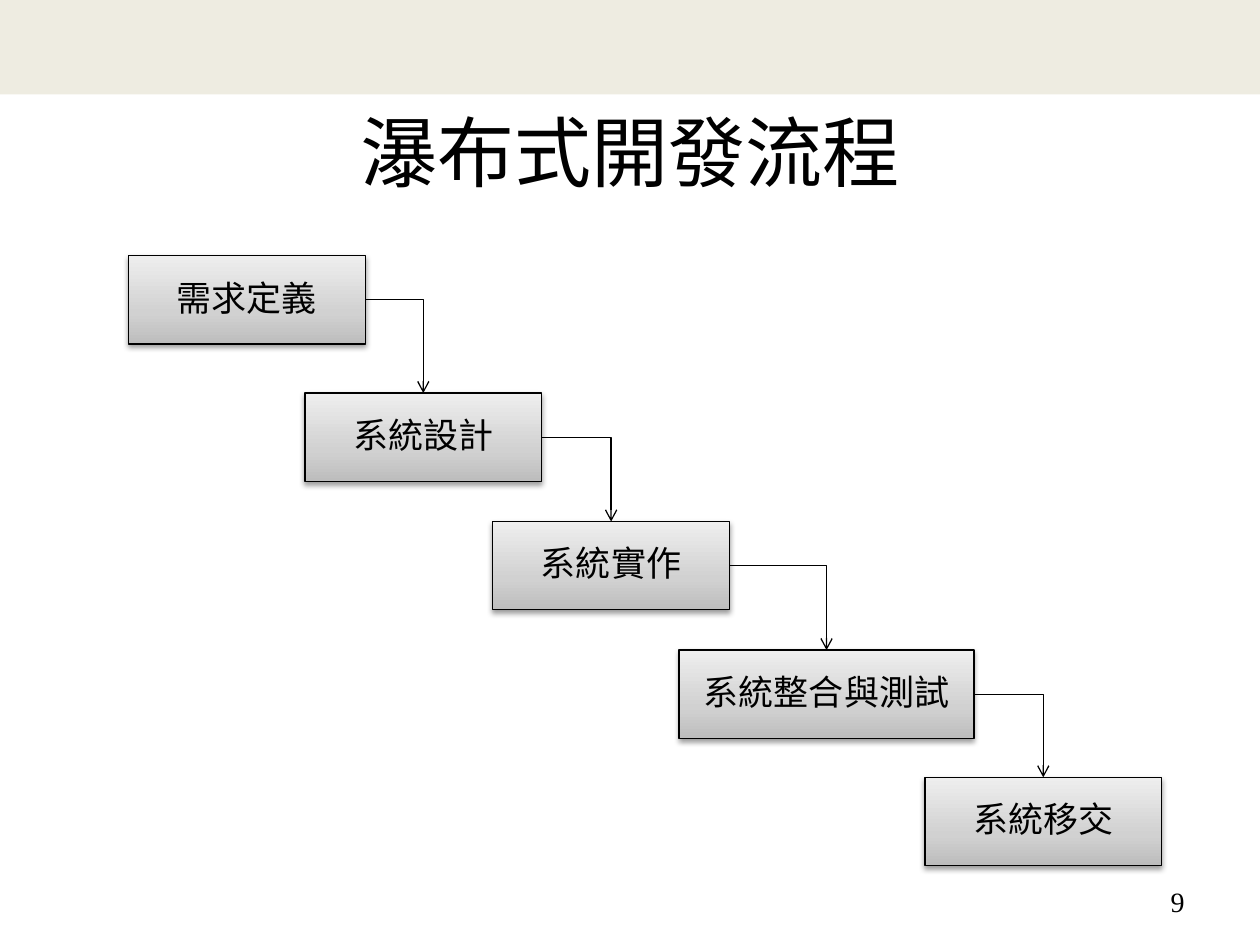
from itertools import pairwise

from pptx import Presentation
from pptx.dml.color import RGBColor
from pptx.enum.shapes import MSO_CONNECTOR as Connector, MSO_SHAPE as Shape
from pptx.enum.text import MSO_ANCHOR as Anchor, PP_ALIGN as Align
from pptx.oxml import parse_xml
from pptx.oxml.ns import nsdecls, qn
from pptx.util import Inches, Pt

BLACK = "000000"
BAND = "EEECE1"
STEP_GRADIENT = [(0, "BDBDBD"), (35, "D1D1D1"), (100, "EEEEEE")]
RIGHT_SITE, TOP_SITE = 3, 0

STEP_HEIGHT = 0.7
STEPS = [  # label, left, top, width
    ("需求定義", 1.02, 2.03, 1.88),
    ("系統設計", 2.42, 3.12, 1.88),
    ("系統實作", 3.91, 4.14, 1.88),
    ("系統整合與測試", 5.39, 5.16, 2.34),
    ("系統移交", 7.34, 6.17, 1.88),
]


def color(hex_code):
    return RGBColor.from_string(hex_code)


def inches(box):
    return [Inches(length) for length in box]


def write(shape, text, size, font, align):
    frame = shape.text_frame
    frame.word_wrap = True
    frame.vertical_anchor = Anchor.MIDDLE
    paragraph = frame.paragraphs[0]
    paragraph.alignment = align
    run = paragraph.add_run()
    run.text = text
    run.font.size = Pt(size)
    run.font.name = font
    run.font.color.rgb = color(BLACK)
    return paragraph


def add_band(slide, box):
    band = slide.shapes.add_shape(Shape.RECTANGLE, *inches(box))
    band.shadow.inherit = False
    band.fill.solid()
    band.fill.fore_color.rgb = color(BAND)
    band.line.fill.background()


def add_label(slide, box, text, size, font, align):
    write(slide.shapes.add_textbox(*inches(box)), text, size, font, align)


def fill_gradient(shape, stops):
    """Fill upwards through (percent, colour) stops."""
    shape.fill.gradient()
    shape.fill.gradient_angle = 90
    stop_list = shape._element.spPr.find(".//" + qn("a:gsLst"))
    for old_stop in list(stop_list):
        stop_list.remove(old_stop)
    for percent, hex_code in stops:
        stop_list.append(parse_xml(
            f'<a:gs {nsdecls("a")} pos="{percent * 1000}">'
            f'<a:srgbClr val="{hex_code}"/></a:gs>'))


def add_soft_shadow(shape):
    shape.shadow.inherit = False
    effects = shape._element.spPr.find(qn("a:effectLst"))
    effects.append(parse_xml(
        f'<a:outerShdw {nsdecls("a")} blurRad="{Pt(3.1)}" dist="{Pt(1.6)}" '
        f'dir="5400000" rotWithShape="0"><a:srgbClr val="{BLACK}">'
        '<a:alpha val="38000"/></a:srgbClr></a:outerShdw>'))


def add_step(slide, box, label):
    step = slide.shapes.add_shape(Shape.RECTANGLE, *inches(box))
    fill_gradient(step, STEP_GRADIENT)
    step.line.color.rgb = color(BLACK)
    step.line.width = Pt(0.75)
    add_soft_shadow(step)
    write(step, label, 20, "Arial", Align.CENTER).line_spacing = 0.89
    return step


def add_step_arrow(slide, source, target):
    """Link the right side of one step to the top of the next with one bend."""
    arrow = slide.shapes.add_connector(Connector.ELBOW, 0, 0, 0, 0)
    arrow.begin_connect(source, RIGHT_SITE)
    arrow.end_connect(target, TOP_SITE)
    arrow.line.color.rgb = color(BLACK)
    arrow.line.width = Pt(0.75)
    properties = arrow._element.spPr
    properties.find(qn("a:prstGeom")).set("prst", "bentConnector2")
    properties.find(qn("a:ln")).append(
        parse_xml(f'<a:tailEnd {nsdecls("a")} type="arrow"/>'))
    properties.append(parse_xml(f'<a:effectLst {nsdecls("a")}/>'))


def add_waterfall(slide, steps):
    boxes = [add_step(slide, (left, top, width, STEP_HEIGHT), label)
             for label, left, top, width in steps]
    for source, target in pairwise(boxes):
        add_step_arrow(slide, source, target)


def main():
    deck = Presentation()
    deck.slide_width, deck.slide_height = Inches(10), Inches(7.5)
    slide = deck.slides.add_slide(deck.slide_layouts[6])
    add_band(slide, (0, 0, 10, 0.75))
    add_label(slide, (0.5, 0.76, 9, 0.87), "瀑布式開發流程", 44, "Calibri", Align.CENTER)
    add_label(slide, (7.17, 6.95, 2.33, 0.4), "9", 16, "Times New Roman", Align.RIGHT)
    add_waterfall(slide, STEPS)
    deck.save("out.pptx")


if __name__ == "__main__":
    main()
